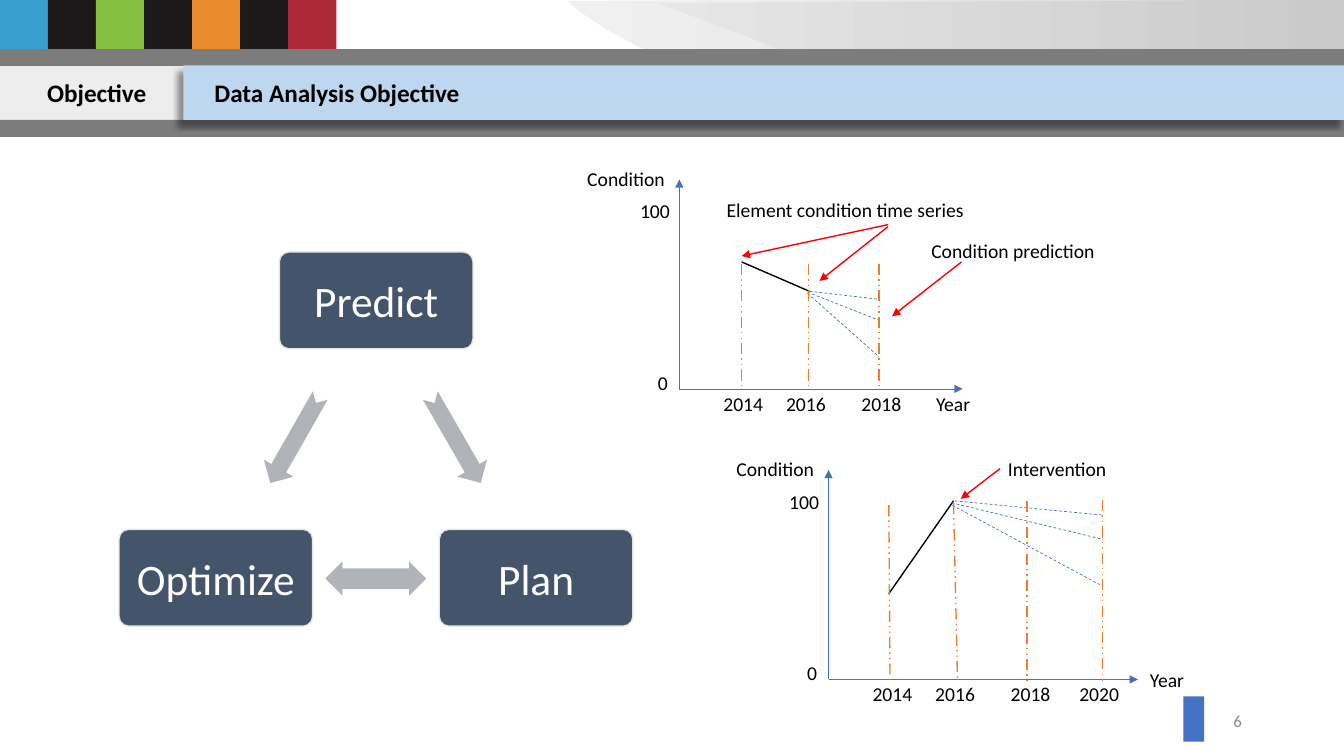
from dataclasses import dataclass

from lxml import etree
from pptx import Presentation
from pptx.dml.color import RGBColor
from pptx.enum.dml import MSO_LINE
from pptx.enum.shapes import MSO_CONNECTOR, MSO_SHAPE
from pptx.enum.text import MSO_ANCHOR, PP_ALIGN
from pptx.oxml.ns import qn
from pptx.shapes.autoshape import Shape
from pptx.slide import Slide
from pptx.util import Cm, Pt

RECT, ROUNDED = MSO_SHAPE.RECTANGLE, MSO_SHAPE.ROUNDED_RECTANGLE
NOTCHED, TWO_WAY = MSO_SHAPE.NOTCHED_RIGHT_ARROW, MSO_SHAPE.LEFT_RIGHT_ARROW
STRAIGHT = MSO_CONNECTOR.STRAIGHT
DASH, DASH_DOT_DOT = MSO_LINE.DASH, MSO_LINE.DASH_DOT_DOT
LEFT, CENTER, RIGHT = PP_ALIGN.LEFT, PP_ALIGN.CENTER, PP_ALIGN.RIGHT
TOP, MIDDLE = MSO_ANCHOR.TOP, MSO_ANCHOR.MIDDLE

BLACK = RGBColor(0x00, 0x00, 0x00)
WHITE = RGBColor(0xFF, 0xFF, 0xFF)
BLUE = RGBColor(0x44, 0x72, 0xC4)
ORANGE = RGBColor(0xED, 0x7D, 0x31)
RED = RGBColor(0xFF, 0x00, 0x00)
SLATE = RGBColor(0x44, 0x54, 0x6A)
ARROW_GREY = RGBColor(0xB0, 0xB4, 0xB9)
BAR_GREY = RGBColor(0x7C, 0x7C, 0x7C)
PALE_GREY = RGBColor(0xED, 0xED, 0xED)
EDGE_GREY = RGBColor(0xE7, 0xE6, 0xE6)
NUMBER_GREY = RGBColor(0x8C, 0x8C, 0x8C)
TITLE_BLUE = RGBColor(0xBD, 0xD7, 0xEF)
TILE_BLACK = RGBColor(0x1B, 0x19, 0x19)
TILES = [RGBColor(0x37, 0xA0, 0xCE), TILE_BLACK, RGBColor(0x84, 0xBF, 0x42), TILE_BLACK,
         RGBColor(0xEB, 0x8B, 0x2C), TILE_BLACK, RGBColor(0xAD, 0x28, 0x36)]

FONT = "Calibri"
SLIDE_WIDTH, SLIDE_HEIGHT = 33.87, 19.05
LABEL_HEIGHT = 0.86
YEAR_LEFTS = (0.86, 2.44, 4.34, 6.07)

Point = tuple[float, float]
Segment = tuple[Point, Point]


@dataclass
class Swoosh:
    curve: tuple[Point, Point, Point, Point]
    light: RGBColor
    dark: RGBColor


@dataclass
class Label:
    text: str
    left: float
    top: float
    width: float


@dataclass
class Node:
    text: str
    left: float
    top: float


@dataclass
class BlockArrow:
    preset: MSO_SHAPE
    left: float
    top: float
    rotation: float


@dataclass
class Plot:
    """A sketched time series; all parts are measured from its origin."""
    origin: Point
    axis_length: float
    years: list[str]
    history: Segment
    forecasts: list[Segment]
    year_marks: list[Segment]
    pointers: list[Segment]
    labels: list[Label]


SWOOSHES = [
    Swoosh(((17.15, 1.68), (13.89, 0.18), (13.59, -0.41), (13.59, -2.13)),
           RGBColor(0xF0, 0xF0, 0xF0), RGBColor(0xD8, 0xD8, 0xD8)),
    Swoosh(((20.62, 1.65), (17.63, 0.3), (13.49, -0.61), (13.49, -2.16)),
           RGBColor(0xE6, 0xE6, 0xE6), RGBColor(0xCA, 0xCA, 0xCA)),
]
NODES = [Node("Predict", 7.04, 6.35), Node("Plan", 11.07, 13.34), Node("Optimize", 3, 13.34)]
BLOCK_ARROWS = [BlockArrow(NOTCHED, 10.21, 10.64, 60), BlockArrow(TWO_WAY, 8.2, 14.15, 180),
                BlockArrow(NOTCHED, 6.17, 10.64, 119.7)]
AXIS_LABELS = [Label("Condition", -2.57, -5.72, 2.49), Label("100", -1.24, -4.9, 1.27),
               Label("0", -0.79, -0.58, 0.76)]
PLOTS = [
    Plot((17.12, 9.8), 7.14, ["2014", "2016", "2018"],
         history=((1.57, -3.2), (3.28, -2.46)),
         forecasts=[((3.28, -2.46), (5.03, -2.26)), ((3.23, -2.44), (5.03, -1.73)),
                    ((3.23, -2.41), (5.03, -0.81))],
         year_marks=[((x, -3.15), (x, 0.03)) for x in (1.57, 3.25, 5.03)],
         pointers=[((5.26, -4.09), (3.53, -2.72)), ((7.11, -3.2), (5.36, -1.83)),
                   ((5.26, -4.14), (1.57, -3.35))],
         labels=[Label("Year", 6.22, -0.05, 1.4),
                 Label("Element condition time series", 0.94, -4.93, 6.68),
                 Label("Condition prediction", 6.1, -3.91, 4.67)]),
    Plot((20.88, 17.12), 7.8, ["2014", "2016", "2018", "2020"],
         history=((1.52, -2.16), (3.15, -4.5)),
         forecasts=[((3.12, -4.39), (6.83, -2.39)), ((3.1, -4.45), (6.91, -3.53)),
                    ((3.18, -4.5), (6.91, -4.14))],
         year_marks=[((1.52, -4.39), (1.55, 0.03)), ((3.15, -4.45), (3.25, 0.03)),
                     ((5, -4.5), (5, 0.03)), ((6.91, -4.52), (6.91, 0.03))],
         pointers=[((4.32, -5.31), (3.33, -4.55))],
         labels=[Label("Year", 7.85, -0.41, 1.4), Label("Intervention", 4.27, -5.74, 3.02)]),
]


def write(shape: Shape, text: str, *, size: float = 14, color: RGBColor = BLACK,
          bold: bool = False, align: PP_ALIGN = LEFT, anchor: MSO_ANCHOR = TOP,
          wrap: bool = False) -> None:
    frame = shape.text_frame
    frame.word_wrap, frame.vertical_anchor = wrap, anchor
    para = frame.paragraphs[0]
    para.alignment = align
    span = para.add_run()
    span.text = text
    span.font.name, span.font.size, span.font.bold = FONT, Pt(size), bold
    span.font.color.rgb = color


def add_block(page: Slide, left: float, top: float, width: float, height: float,
              fill: RGBColor, preset: MSO_SHAPE = RECT) -> Shape:
    block = page.shapes.add_shape(preset, Cm(left), Cm(top), Cm(width), Cm(height))
    block.shadow.inherit = False
    block.fill.solid()
    block.fill.fore_color.rgb = fill
    block.line.fill.background()
    return block


def add_text_box(page: Slide, left: float, top: float, width: float, height: float) -> Shape:
    return page.shapes.add_textbox(Cm(left), Cm(top), Cm(width), Cm(height))


def add_line(page: Slide, origin: Point, segment: Segment, color: RGBColor, weight: float,
             dash: MSO_LINE | None = None, arrow: bool = False) -> None:
    ends = [Cm(base + offset) for point in segment for base, offset in zip(origin, point)]
    line = page.shapes.add_connector(STRAIGHT, *ends)
    line.line.color.rgb, line.line.width = color, Pt(weight)
    if dash is not None:
        line.line.dash_style = dash
    if arrow:
        etree.SubElement(line.line._get_or_add_ln(), qn("a:tailEnd"), type="triangle")
    etree.SubElement(line._element.spPr, qn("a:effectLst"))


def curve_point(curve: tuple[Point, Point, Point, Point], t: float) -> Point:
    """Return the point of a cubic Bézier curve at parameter t."""
    weights = ((1 - t) ** 3, 3 * t * (1 - t) ** 2, 3 * t * t * (1 - t), t ** 3)
    x, y = (sum(w * value for w, value in zip(weights, axis)) for axis in zip(*curve))
    return x, y


def add_swoosh(page: Slide, swoosh: Swoosh) -> None:
    """Draw the part of a curved header panel that lies on the slide."""
    edge = [curve_point(swoosh.curve, step / 40) for step in range(41)]
    corners = [(SLIDE_WIDTH, 0), (SLIDE_WIDTH, 1.65)]
    outline = [(Cm(x), Cm(y)) for x, y in corners + edge if y >= 0]
    builder = page.shapes.build_freeform(*outline[0])
    builder.add_line_segments(outline[1:], close=True)
    panel = builder.convert_to_shape()
    panel.shadow.inherit = False
    panel.line.fill.background()
    panel.fill.gradient()
    panel.fill.gradient_angle = 0
    for stop, color in zip(panel.fill.gradient_stops, (swoosh.light, swoosh.dark)):
        stop.color.rgb = color


def add_soft_shadow(shape: Shape) -> None:
    effects = shape._element.spPr.find(qn("a:effectLst"))
    shadow = etree.SubElement(effects, qn("a:outerShdw"), blurRad=str(Pt(4)),
                              dist=str(Pt(6)), dir="8100000", rotWithShape="0")
    color = etree.SubElement(shadow, qn("a:srgbClr"), val=str(BLACK))
    etree.SubElement(color, qn("a:alpha"), val="40000")


def add_header(page: Slide) -> None:
    add_block(page, 0, 1.68, SLIDE_WIDTH, 1.37, PALE_GREY)
    for index, color in enumerate(TILES):
        add_block(page, index * 1.21, 0, 1.22, 1.65, color)
    for swoosh in SWOOSHES:
        add_swoosh(page, swoosh)
    for top in (1.24, 3.02):
        add_block(page, 0, top, SLIDE_WIDTH, 0.43, BAR_GREY)
    add_soft_shadow(add_block(page, 4.62, 1.65, 29.25, 1.37, TITLE_BLUE))
    for title in (Label("Objective", 0.28, 1.83, 4.32),
                  Label("Data Analysis Objective", 4.62, 1.83, 7.75)):
        box = add_text_box(page, title.left, title.top, title.width, 1.02)
        write(box, title.text, size=18, bold=True, align=CENTER, wrap=True)


def add_cycle(page: Slide) -> None:
    for node in NODES:
        block = add_block(page, node.left, node.top, 4.88, 2.44, SLATE, ROUNDED)
        block.adjustments[0] = 0.1
        block.line.color.rgb, block.line.width = EDGE_GREY, Pt(1)
        write(block, node.text, size=31, color=WHITE, align=CENTER, anchor=MIDDLE, wrap=True)
    for arrow in BLOCK_ARROWS:
        block = add_block(page, arrow.left, arrow.top, 2.54, 0.86, ARROW_GREY, arrow.preset)
        block.rotation = arrow.rotation
        if arrow.preset == TWO_WAY:
            block.adjustments[0], block.adjustments[1] = 0.6, 0.5


def add_plot(page: Slide, plot: Plot) -> None:
    for end in ((plot.axis_length, 0), (0, -5.28)):
        add_line(page, plot.origin, ((0, 0), end), BLUE, 0.5, arrow=True)
    add_line(page, plot.origin, plot.history, BLACK, 1)
    for forecast in plot.forecasts:
        add_line(page, plot.origin, forecast, BLUE, 0.5, dash=DASH)
    for mark in plot.year_marks:
        add_line(page, plot.origin, mark, ORANGE, 1, dash=DASH_DOT_DOT)
    for pointer in plot.pointers:
        add_line(page, plot.origin, pointer, RED, 1, arrow=True)
    years = [Label(year, left, -0.05, 1.52) for year, left in zip(plot.years, YEAR_LEFTS)]
    left, base = plot.origin
    for label in AXIS_LABELS + years + plot.labels:
        box = add_text_box(page, left + label.left, base + label.top, label.width, LABEL_HEIGHT)
        write(box, label.text)


def main() -> None:
    deck = Presentation()
    deck.slide_width, deck.slide_height = Cm(SLIDE_WIDTH), Cm(SLIDE_HEIGHT)
    page = deck.slides.add_slide(deck.slide_layouts[6])
    add_block(page, 29.82, 17.55, 0.53, 1.14, BLUE)
    add_header(page)
    add_cycle(page)
    for plot in PLOTS:
        add_plot(page, plot)
    number = add_text_box(page, 23.93, 17.65, 7.62, 1.02)
    write(number, "6", size=12, color=NUMBER_GREY, align=RIGHT, anchor=MIDDLE, wrap=True)
    deck.save("out.pptx")


if __name__ == "__main__":
    main()
